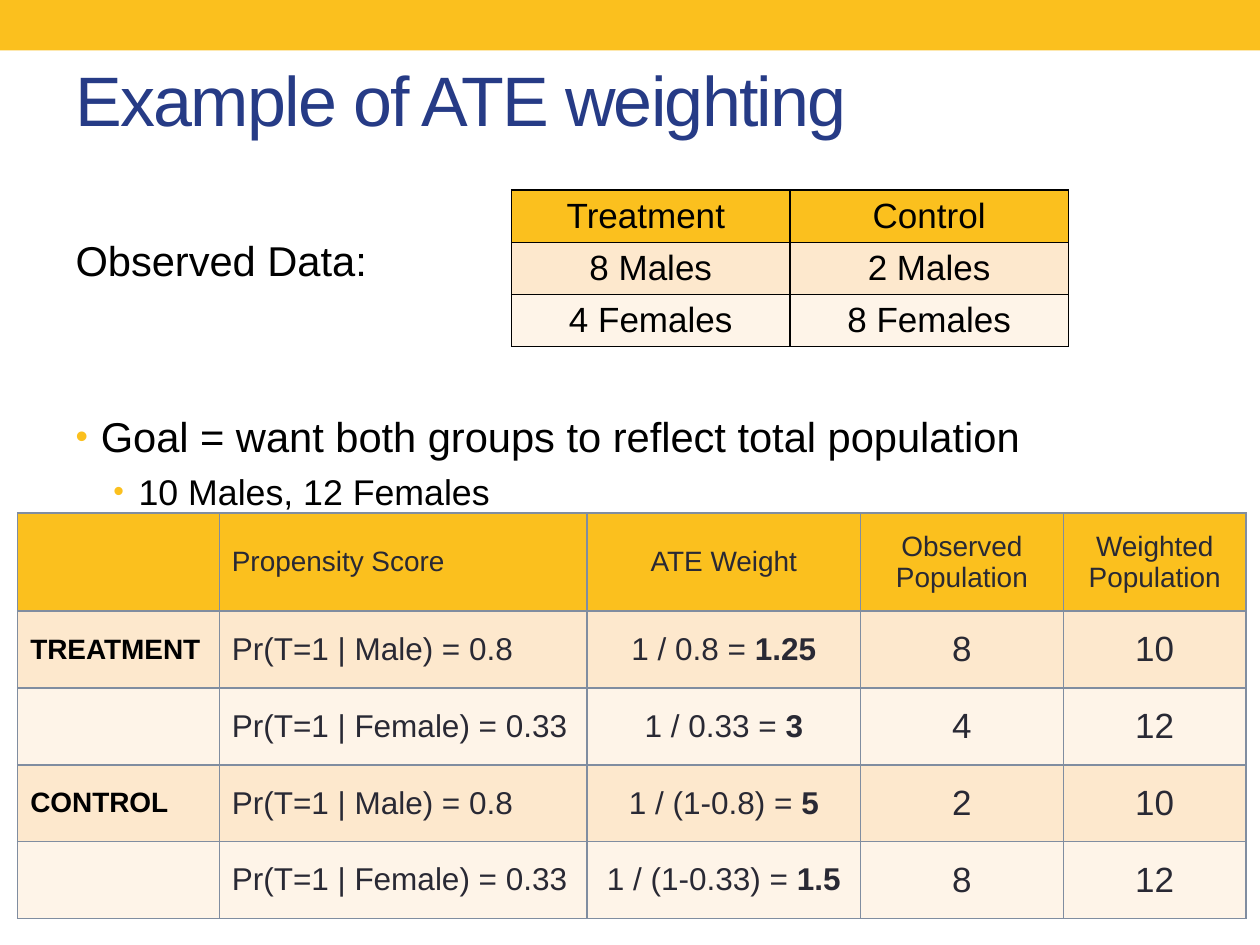
from lxml import etree
from pptx import Presentation
from pptx.dml.color import RGBColor
from pptx.enum.shapes import MSO_SHAPE
from pptx.enum.text import MSO_ANCHOR, MSO_AUTO_SIZE, PP_ALIGN
from pptx.oxml.ns import qn
from pptx.util import Inches, Pt

RECTANGLE = MSO_SHAPE.RECTANGLE
TOP, MIDDLE = MSO_ANCHOR.TOP, MSO_ANCHOR.MIDDLE
LEFT, CENTER = PP_ALIGN.LEFT, PP_ALIGN.CENTER
FIXED = MSO_AUTO_SIZE.NONE

COLORS = {"gold": "FBC01E", "navy": "263B86", "black": "000000", "ink": "292934",
          "peach": "FDE8CD", "cream": "FEF4E8", "slate": "808DA0"}
FONT = "Arial"
COLUMNS, ROWS = 100, 75

OBSERVED = [["Treatment ", "Control"], ["8 Males", "2 Males"], ["4 Females", "8 Females"]]
HEADINGS = ["", "Propensity Score", "ATE Weight", "Observed Population", "Weighted Population"]
SCORES = {"Male": "0.8", "Female": "0.33"}
GROUPS = [("TREATMENT", "1 / {} = ", [("Male", "1.25", "8", "10"), ("Female", "3", "4", "12")]),
          ("CONTROL", "1 / (1-{}) = ", [("Male", "5", "2", "10"), ("Female", "1.5", "8", "12")])]
BODY = [("Observed Data:", 23.8, 0, 0, 0),
        ("Goal = want both groups to reflect total population", 23.8, 0, 2, 72.5),
        ("10 Males, 12 Females", 20.4, 1, 5, 5)]


def grid(deck, box):
    """Turn a box in grid columns and rows into slide lengths."""
    column, row = deck.slide_width / COLUMNS, deck.slide_height / ROWS
    return [round(value * unit) for value, unit in zip(box, (column, row, column, row))]


def assign(target, values):
    """Set each named attribute of the target."""
    for name, value in values.items():
        setattr(target, name, value)


def add_span(para, text, size, color, bold=False):
    """Append formatted text to a paragraph."""
    span = para.add_run()
    span.text = text
    assign(span.font, {"name": FONT, "size": Pt(size), "bold": bold})
    span.font.color.rgb = RGBColor.from_string(COLORS[color])
    return span


def set_bullet(para, margin, hanging):
    """Give a paragraph a gold bullet, or none when nothing hangs."""
    props = para._p.get_or_add_pPr()
    props.set("marL", str(margin))
    props.set("indent", str(-hanging))
    if not hanging:
        etree.SubElement(props, qn("a:buNone"))
        return
    color = etree.SubElement(props, qn("a:buClr"))
    etree.SubElement(color, qn("a:srgbClr"), val=COLORS["gold"])
    etree.SubElement(props, qn("a:buSzPct"), val="85000")
    etree.SubElement(props, qn("a:buFont"), typeface=FONT)
    etree.SubElement(props, qn("a:buChar"), char="•")


def set_borders(cell, color):
    """Draw a one-point line on every side of a cell."""
    props = cell._tc.get_or_add_tcPr()
    for side in ("lnL", "lnR", "lnT", "lnB"):
        line = etree.SubElement(props, qn(f"a:{side}"), w=str(Pt(1)))
        fill = etree.SubElement(line, qn("a:solidFill"))
        etree.SubElement(fill, qn("a:srgbClr"), val=COLORS[color])


def place(deck, shape, box):
    """Move a shape to a grid box."""
    assign(shape, dict(zip(("left", "top", "width", "height"), grid(deck, box))))


def add_band(deck, page, box):
    """Put the gold band behind everything."""
    band = page.shapes.add_shape(RECTANGLE, *grid(deck, box))
    band.shadow.inherit = False
    band.fill.solid()
    band.fill.fore_color.rgb = RGBColor.from_string(COLORS["gold"])
    band.line.fill.background()
    page.shapes._spTree.insert(2, band._element)


def fill_title(deck, page, box, text):
    """Fill and place the title."""
    title = page.shapes.title
    place(deck, title, box)
    assign(title.text_frame, {"vertical_anchor": MIDDLE, "auto_size": FIXED, "word_wrap": True})
    para = title.text_frame.paragraphs[0]
    para.alignment = LEFT
    span = add_span(para, text, 40, "navy")
    span.font._element.set("spc", "-100")


def fill_body(deck, page, box, items):
    """Fill and place the list, indented in grid columns."""
    body = page.placeholders[1]
    place(deck, body, box)
    frame = body.text_frame
    assign(frame, {"vertical_anchor": TOP, "auto_size": FIXED, "word_wrap": True})
    column = deck.slide_width // COLUMNS
    for number, (text, size, level, margin, gap) in enumerate(items):
        para = frame.add_paragraph() if number else frame.paragraphs[0]
        assign(para, {"level": level, "alignment": LEFT, "space_before": Pt(gap)})
        set_bullet(para, margin * column, 2 * column if margin else 0)
        add_span(para, text, size, "black")


def add_grid_table(deck, page, box, widths, heights, border, rows, anchor):
    """Add a banded table; a cell is its alignment and its spans."""
    frame = page.shapes.add_table(len(rows), len(widths), *grid(deck, box))
    table = frame.table
    assign(table, {"first_row": False, "horz_banding": False})
    for column, width in zip(table.columns, widths):
        column.width = round(deck.slide_width * width / COLUMNS)
    for row, height in zip(table.rows, heights):
        row.height = round(deck.slide_height * height / ROWS)
    for r, cells in enumerate(rows):
        band = ("peach" if r % 2 else "cream") if r else "gold"
        for c, (alignment, spans) in enumerate(cells):
            cell = table.cell(r, c)
            set_borders(cell, border)
            cell.fill.solid()
            cell.fill.fore_color.rgb = RGBColor.from_string(COLORS[band])
            cell.vertical_anchor = anchor
            para = cell.text_frame.paragraphs[0]
            para.alignment = alignment
            for span in spans:
                add_span(para, *span)


def weight_rows():
    """Build the weighting rows from the groups and scores."""
    rows = [[(LEFT if c < 2 else CENTER, [(text, 16, "ink")] if text else [])
             for c, text in enumerate(HEADINGS)]]
    for group, formula, members in GROUPS:
        for number, (sex, weight, observed, weighted) in enumerate(members):
            score = SCORES[sex]
            rows.append([
                (LEFT, [] if number else [(group, 16, "black", True)]),
                (LEFT, [(f"Pr(T=1 | {sex}) = {score}", 18, "ink")]),
                (CENTER, [(formula.format(score), 18, "ink"), (weight, 18, "ink", True)]),
                (CENTER, [(observed, 20, "ink")]),
                (CENTER, [(weighted, 20, "ink")])])
    return rows


def build_slide(deck):
    """Lay out the weighting example."""
    page = deck.slides.add_slide(deck.slide_layouts[1])
    add_band(deck, page, (0, 0, 100, 4))
    fill_title(deck, page, (5, 2.4, 90, 10.8), "Example of ATE weighting")
    fill_body(deck, page, (5, 18.1, 88.4, 20.8), BODY)
    observed = [[(CENTER, [(text, 20, "black")]) for text in row] for row in OBSERVED]
    add_grid_table(deck, page, (40.6, 15.1, 44.2, 12.4), [22.1] * 2, [4.13] * 3,
                   "black", observed, TOP)
    add_grid_table(deck, page, (1.4, 40.7, 97.4, 32.2), [16, 29.2, 21.7, 16.1, 14.5],
                   [7.8] + [6.1] * 4, "slate", weight_rows(), MIDDLE)


deck = Presentation()
assign(deck, {"slide_width": Inches(10), "slide_height": Inches(7.5)})
build_slide(deck)
deck.save("out.pptx")
